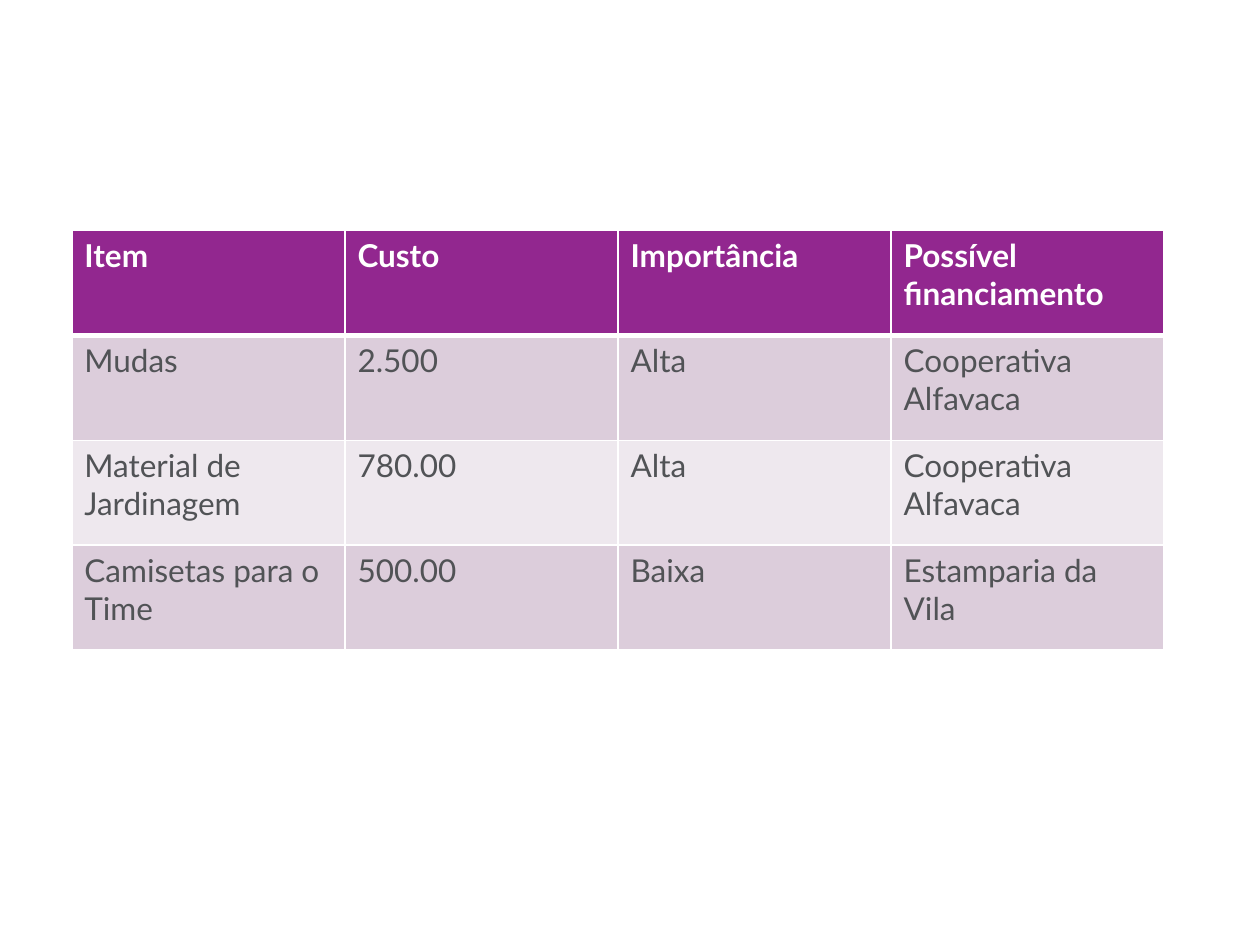
from dataclasses import dataclass

from lxml.etree import SubElement
from pptx import Presentation
from pptx.dml.color import RGBColor as Color
from pptx.oxml.ns import qn
from pptx.table import _Cell as Cell
from pptx.util import Inches, Pt

BLANK_LAYOUT = 6


@dataclass(frozen=True)
class Theme:
    font: str = "Lato"
    text_size: int = 18
    header_fill: str = "92278F"
    header_text: str = "FFFFFF"
    body_text: str = "515356"
    bands: tuple[str, str] = ("DCCDDB", "EEE8EE")
    border: str = "FFFFFF"
    thin: int = 1
    thick: int = 3


@dataclass(frozen=True)
class BudgetRow:
    item: str
    cost: str
    importance: str
    funding: str

    def texts(self) -> tuple[str, ...]:
        return self.item, self.cost, self.importance, self.funding


THEME = Theme()
ROWS = (
    BudgetRow("Item", "Custo", "Importância", "Possível financiamento"),
    BudgetRow("Mudas", "2.500", "Alta", "Cooperativa Alfavaca"),
    BudgetRow("Material de Jardinagem", "780.00", "Alta", "Cooperativa Alfavaca"),
    BudgetRow("Camisetas para o\nTime", "500.00", "Baixa", "Estamparia da Vila"),
)


def draw_borders(cell: Cell, row_index: int) -> None:
    """Outline the cell, with a thick rule between header and body."""
    widths = {
        "L": THEME.thin,
        "R": THEME.thin,
        "T": THEME.thick if row_index == 1 else THEME.thin,
        "B": THEME.thick if row_index == 0 else THEME.thin,
    }
    properties = cell._tc.get_or_add_tcPr()
    for side, width in widths.items():
        line = SubElement(properties, qn(f"a:ln{side}"), w=str(Pt(width)))
        fill = SubElement(line, qn("a:solidFill"))
        SubElement(fill, qn("a:srgbClr"), val=THEME.border)


def draw_cell(cell: Cell, text: str, row_index: int) -> None:
    is_header = row_index == 0
    draw_borders(cell, row_index)
    cell.fill.solid()
    fill = THEME.header_fill if is_header else THEME.bands[(row_index - 1) % 2]
    cell.fill.fore_color.rgb = Color.from_string(fill)
    cell.text = text
    font_format = {"name": THEME.font, "size": Pt(THEME.text_size), "bold": is_header}
    text_color = THEME.header_text if is_header else THEME.body_text
    for para in cell.text_frame.paragraphs:
        for span in para.runs:
            for name, value in font_format.items():
                setattr(span.font, name, value)
            span.font.color.rgb = Color.from_string(text_color)


def main() -> None:
    deck = Presentation()
    deck.slide_width, deck.slide_height = Inches(10), Inches(7.5)
    page = deck.slides.add_slide(deck.slide_layouts[BLANK_LAYOUT])
    table = page.shapes.add_table(
        len(ROWS), len(ROWS[0].texts()),
        Inches(0.57), Inches(1.83), Inches(8.67), Inches(3.33),
    ).table
    for row_index, row in enumerate(ROWS):
        for column_index, text in enumerate(row.texts()):
            draw_cell(table.cell(row_index, column_index), text, row_index)
    deck.save("out.pptx")


if __name__ == "__main__":
    main()
